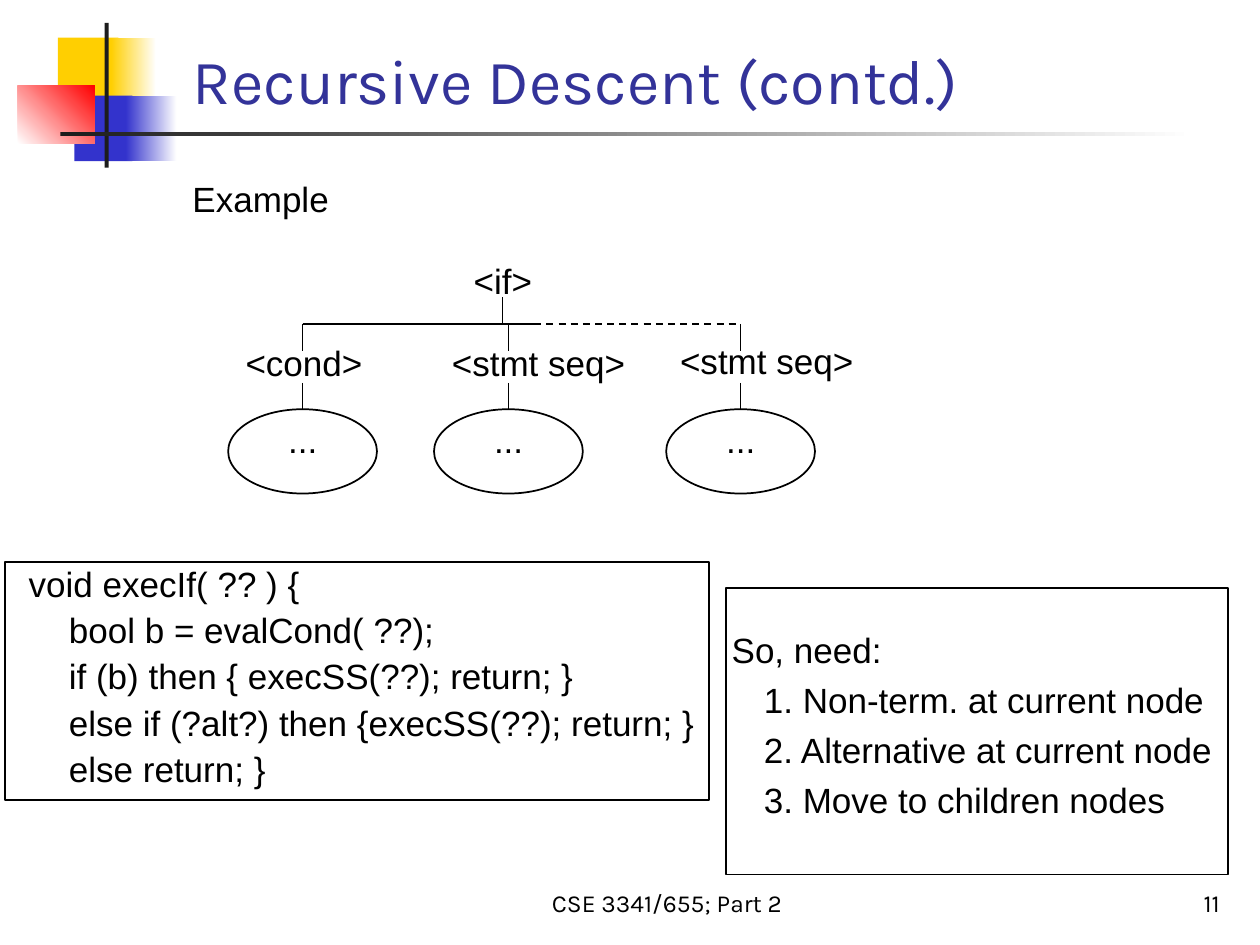
from pptx import Presentation
from pptx.dml.color import RGBColor
from pptx.enum.dml import MSO_LINE
from pptx.enum.shapes import MSO_CONNECTOR, MSO_SHAPE
from pptx.enum.text import MSO_ANCHOR as Anchor, MSO_AUTO_SIZE, PP_ALIGN as Align
from pptx.oxml.ns import qn
from pptx.util import Cm, Pt
from lxml.etree import SubElement

BLACK = RGBColor(0x00, 0x00, 0x00)
WHITE = RGBColor(0xFF, 0xFF, 0xFF)
CHARCOAL = RGBColor(0x1C, 0x1C, 0x1C)
YELLOW = RGBColor(0xFF, 0xCF, 0x01)
BLUE = RGBColor(0x33, 0x33, 0xCC)
RED = RGBColor(0xFF, 0x00, 0x00)
INDIGO = RGBColor(0x33, 0x33, 0x99)

BODY_FONT = {"name": "Arial", "size": Pt(20)}
FOOTER_FONT = {"name": "Karla", "size": Pt(14)}
TITLE_FONT = {"name": "Karla", "size": Pt(36)}
BODY_SPACING = {"space_before": Pt(12.5)}


def apply_format(target, values):
    for name, value in values.items():
        setattr(target, name, value)


def write_lines(frame, lines, font, spacing, color=BLACK, indent=0):
    for index, line in enumerate(lines):
        paragraph = frame.paragraphs[0] if index == 0 else frame.add_paragraph()
        apply_format(paragraph, spacing)
        if index and indent:
            paragraph._p.get_or_add_pPr().set("marL", str(Cm(indent)))
        run = paragraph.add_run()
        run.text = line
        apply_format(run.font, font)
        run.font.color.rgb = color


def add_text(slide, box, lines, font=BODY_FONT, spacing=BODY_SPACING,
             anchor=Anchor.TOP, indent=0):
    shape = slide.shapes.add_textbox(*map(Cm, box))
    apply_format(shape.text_frame, {"word_wrap": True, "vertical_anchor": anchor})
    write_lines(shape.text_frame, lines, font, spacing, indent=indent)


def add_outline(slide, kind, box):
    shape = slide.shapes.add_shape(kind, *map(Cm, box))
    shape.shadow.inherit = False
    shape.fill.background()
    shape.line.color.rgb = BLACK
    shape.line.width = Pt(1)


def add_block(slide, box, colors, angle=0):
    shape = slide.shapes.add_shape(MSO_SHAPE.RECTANGLE, *map(Cm, box))
    shape.shadow.inherit = False
    shape.line.fill.background()
    if len(colors) == 1:
        shape.fill.solid()
        shape.fill.fore_color.rgb = colors[0]
        return
    shape.fill.gradient()
    shape.fill.gradient_angle = angle
    for stop, color in zip(shape.fill.gradient_stops, colors):
        stop.color.rgb = color


def add_line(slide, start, end, dash=None):
    line = slide.shapes.add_connector(MSO_CONNECTOR.STRAIGHT, *map(Cm, start + end))
    line.line.color.rgb = BLACK
    apply_format(line.line, {"width": Pt(1), "dash_style": dash})
    SubElement(line._element.spPr, qn("a:effectLst"))


def add_decoration(slide, left, top):
    blocks = [
        ((0.81, 0.3, 1.22, 1.32), [YELLOW], 0),
        ((1.88, 0.3, 0.91, 1.32), [YELLOW, WHITE], 0),
        ((1.14, 1.47, 1.17, 1.32), [BLUE], 0),
        ((2.18, 1.47, 1.02, 1.32), [BLUE, WHITE], 0),
        ((0, 1.27, 1.55, 1.17), [WHITE, RED], 45),
        ((1.75, 0, 0.08, 2.92), [CHARCOAL], 0),
        ((0.86, 2.21, 22.86, 0.08), [CHARCOAL, WHITE], 0),
    ]
    for (x, y, width, height), colors, angle in blocks:
        add_block(slide, (left + x, top + y, width, height), colors, angle)


def add_title(slide, box, text):
    title = slide.shapes.title
    apply_format(title, dict(zip(("left", "top", "width", "height"), map(Cm, box))))
    apply_format(title.text_frame, {"vertical_anchor": Anchor.BOTTOM,
                                    "auto_size": MSO_AUTO_SIZE.NONE})
    write_lines(title.text_frame, [text], TITLE_FONT, {"alignment": Align.LEFT}, INDIGO)


def add_parse_tree(slide, left, top):
    root_x, bend_x = left + 5.53, left + 6.17
    root_y, bar_y, label_y, stem_y, leaf_y = (
        top + offset for offset in (0.88, 1.42, 1.96, 2.61, 3.14))
    leaf_width, leaf_height = 3, 1.7
    branches = [
        (1.5, "<cond>", 0.1, 1.65, 3.1),
        (5.65, "<stmt seq>", 4.26, 1.65, 4.17),
        (10.33, "<stmt seq>", 8.86, 1.6, 4.17),
    ]
    first_x, last_x = left + branches[0][0], left + branches[-1][0]

    add_text(slide, (left + 4.7, top, 2.03, 1.12), ["<if>"])
    add_line(slide, (root_x, root_y), (root_x, bar_y))
    add_line(slide, (first_x, bar_y), (bend_x, bar_y))
    add_line(slide, (bend_x, bar_y), (last_x, bar_y), MSO_LINE.DASH)
    for center, label, label_x, label_top, label_width in branches:
        x = left + center
        add_line(slide, (x, bar_y), (x, label_y))
        add_text(slide, (left + label_x, top + label_top, label_width, 1.12), [label])
        add_line(slide, (x, stem_y), (x, leaf_y))
        add_outline(slide, MSO_SHAPE.OVAL,
                    (x - leaf_width / 2, leaf_y, leaf_width, leaf_height))
        add_text(slide, (x - 0.54, leaf_y + 0.06, 1.28, 1.12), ["..."])


def add_panel(slide, box, text_box, lines, line_spacing, indent):
    left, top = box[:2]
    x, y, width, height = text_box
    add_text(slide, (left + x, top + y, width, height), lines,
             spacing={**BODY_SPACING, "line_spacing": Pt(line_spacing)}, indent=indent)
    add_outline(slide, MSO_SHAPE.RECTANGLE, box)


def add_footer(slide, top):
    for left, width, text, alignment in (
            (6.3, 14.3, "CSE 3341/655; Part 2", Align.CENTER),
            (19.56, 5.28, "11", Align.RIGHT)):
        add_text(slide, (left, top, width, 1.28), [text], FOOTER_FONT,
                 {"alignment": alignment}, Anchor.BOTTOM)


def main():
    presentation = Presentation()
    presentation.slide_width, presentation.slide_height = Cm(25.4), Cm(19.05)
    slide = presentation.slides.add_slide(presentation.slide_layouts[5])

    add_decoration(slide, 0.36, 0.46)
    add_footer(slide, 17.34)
    add_title(slide, (3.63, 0.36, 20.07, 2.13), "Recursive Descent (contd.)")
    add_text(slide, (3.63, 3.45, 4.27, 1.12), ["Example"])
    add_parse_tree(slide, 4.6, 5.11)
    add_panel(slide, (0.1, 11.33, 14.2, 4.8), (0.23, 0.23, 14.07, 4.5), [
        "void execIf( ?? ) {",
        "bool b = evalCond( ??);",
        "if (b) then { execSS(??); return; }",
        "else if (?alt?) then {execSS(??); return; }",
        "else return; }",
    ], 14, 0.81)
    add_panel(slide, (14.63, 11.86, 10.13, 5.77), (-0.13, 0.97, 10.57, 3.84), [
        "So, need:",
        "1. Non-term. at current node",
        "2. Alternative at current node",
        "3. Move to children nodes",
    ], 16, 0.65)
    presentation.save("out.pptx")


if __name__ == "__main__":
    main()
